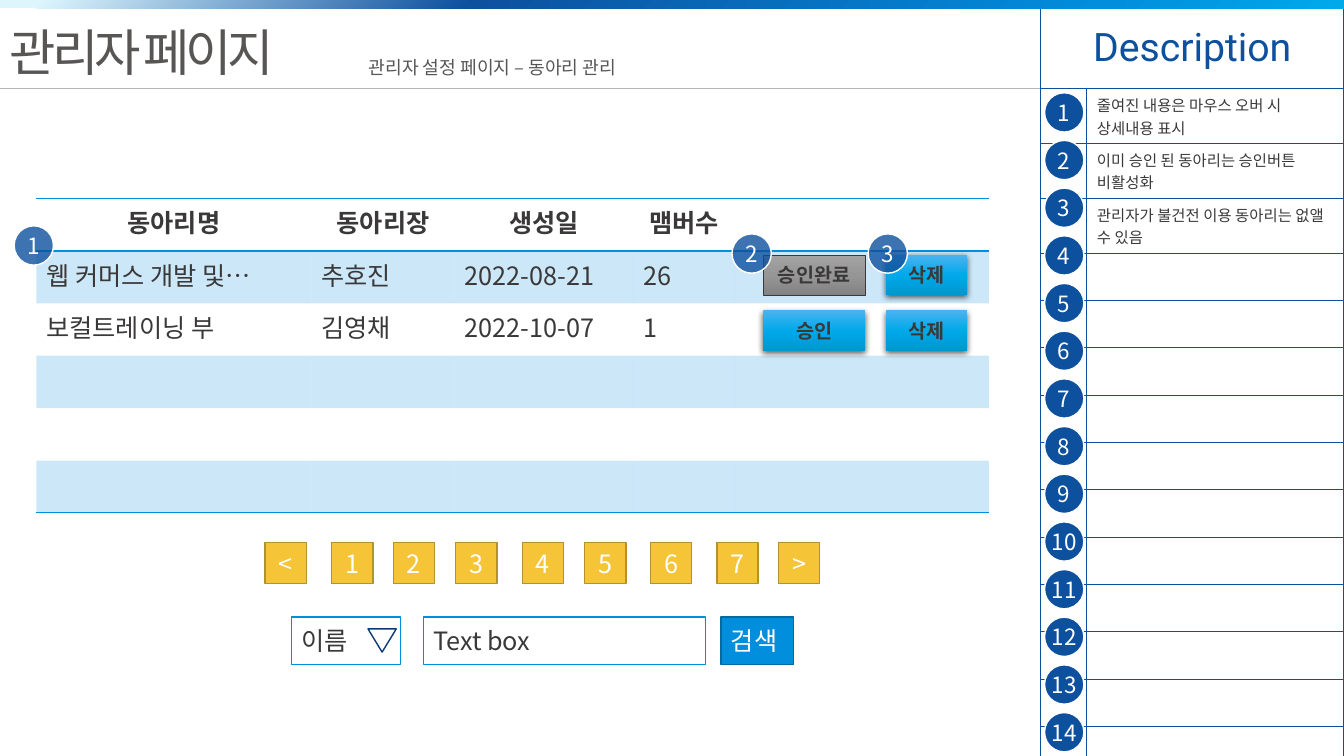
import dataclasses
import pptx
import pptx.util
import pptx.dml.color
import pptx.enum.shapes
import pptx.enum.text
import pptx.oxml
import pptx.oxml.ns
import lxml.etree

Inches = pptx.util.Inches
SHAPE = pptx.enum.shapes.MSO_SHAPE
ALIGN = pptx.enum.text.PP_ALIGN
ANCHOR = pptx.enum.text.MSO_ANCHOR
qn = pptx.oxml.ns.qn


@dataclasses.dataclass(frozen=True)
class Theme:
    """Hold the colours, fonts and type sizes."""
    navy: str = "0D509E"
    deep: str = "0A3B75"
    blue: str = "018EDD"
    edge: str = "0169A3"
    ink: str = "3A3838"
    grey: str = "585555"
    rule: str = "B5B5B5"
    white: str = "FFFFFF"
    gold: str = "F5C437"
    brown: str = "B59129"
    bar: tuple = ((3, "DDF6FD"), (35, "0D509E"), (82, "018EDD"), (100, "00A9EA"))
    live: tuple = ((0, "4BB3F0"), (50, "00A9EA"), (100, "0096D0"))
    dull: tuple = ((0, "A3A3A3"), (50, "969696"), (100, "848383"))
    font: str = "Noto Sans CJK KR"
    latin: str = "Roboto"
    title: int = 36
    head: int = 28
    body: int = 18
    badge: int = 16
    label: int = 14
    sub: int = 13
    note: int = 11


T = Theme()


def rgb(code):
    """Turn a hex code into a colour."""
    return pptx.dml.color.RGBColor.from_string(code)


def child(node, tag, **attrs):
    """Add a drawing element under a node."""
    return lxml.etree.SubElement(node, qn(tag), {k: str(v) for k, v in attrs.items()})


def paint(fill, node, code, alpha=100):
    """Fill with one colour, clear in part if asked."""
    fill.solid()
    fill.fore_color.rgb = rgb(code)
    if alpha < 100:
        tint = node.find(qn("a:solidFill")).find(qn("a:srgbClr"))
        child(tint, "a:alpha", val=alpha * 1000)


def blend(shape, stops, angle):
    """Fill a shape with a gradient of many stops."""
    shape.fill.gradient()
    shape.fill.gradient_angle = 360 - angle
    group = shape.element.spPr.find(qn("a:gradFill")).find(qn("a:gsLst"))
    for stop in list(group):
        group.remove(stop)
    for place, code in stops:
        child(child(group, "a:gs", pos=place * 1000), "a:srgbClr", val=code)


def write(frame, text, size=T.body, color=T.ink, font=T.font, bold=False,
          align=ALIGN.LEFT, track=0):
    """Put formatted text in a frame."""
    para = frame.paragraphs[0]
    para.alignment = align
    run = para.add_run()
    run.text = text
    run.font.size = pptx.util.Pt(size)
    run.font.bold = bold
    run.font.color.rgb = rgb(color)
    run.font.name = font
    props = run.font._element
    child(props, "a:ea", typeface=font)
    if track:
        props.set("spc", str(track * 100))


def block(slide, box, kind=SHAPE.RECTANGLE, fill=T.white, alpha=100, line=None,
          width=1, angle=90, text="", inset=None, **style):
    """Draw a preset shape with optional text."""
    shape = slide.shapes.add_shape(kind, *map(Inches, box))
    shape.shadow.inherit = False
    if isinstance(fill, str):
        paint(shape.fill, shape.element.spPr, fill, alpha)
    else:
        blend(shape, fill, angle)
    if line:
        shape.line.color.rgb = rgb(line)
        shape.line.width = pptx.util.Pt(width)
    else:
        shape.line.fill.background()
    if text:
        frame = shape.text_frame
        frame.word_wrap = True
        frame.vertical_anchor = ANCHOR.MIDDLE
        if inset is not None:
            frame.margin_left = frame.margin_right = Inches(inset)
            frame.margin_top = frame.margin_bottom = Inches(inset)
        write(frame, text, **style)
    return shape


def label(slide, box, text, **style):
    """Place a plain text box."""
    frame = slide.shapes.add_textbox(*map(Inches, box)).text_frame
    frame.word_wrap = True
    write(frame, text, **style)


def badge(slide, left, top, num, alpha=100):
    """Draw a round number mark."""
    block(slide, (left, top, 0.39, 0.39), SHAPE.OVAL, T.navy, alpha, T.white,
          text=str(num), inset=0, size=T.badge, color=T.white, align=ALIGN.CENTER)


def button(slide, box, text, live=True):
    """Draw a raised or greyed button."""
    shape = block(slide, box, fill=T.live if live else T.dull,
                  line=None if live else T.ink, width=0.5, text=text,
                  size=T.label, bold=True, align=ALIGN.CENTER)
    if live:
        glow = child(shape.element.spPr.find(qn("a:effectLst")), "a:outerShdw",
                     blurRad=57150, dist=19050, dir=5400000, rotWithShape=0)
        child(child(glow, "a:srgbClr", val="000000"), "a:alpha", val=63000)


def grid(slide, box, cols, rows):
    """Add a table without a banded style."""
    table = slide.shapes.add_table(len(rows), len(cols), *map(Inches, box)).table
    table.first_row = table.horz_banding = False
    style = table._tbl.tblPr.find(qn("a:tableStyleId"))
    style.text = "{2D5ABB26-0587-4C30-8999-92F81FD0307C}"
    for col, width in zip(table.columns, cols):
        col.width = Inches(width)
    for row, height in zip(table.rows, rows):
        row.height = Inches(height)
    return table


def border(cell, sides, color):
    """Rule the given sides of a cell."""
    for side in sides:
        line = child(cell._tc.get_or_add_tcPr(), "a:ln" + side, w=12700)
        child(child(line, "a:solidFill"), "a:srgbClr", val=color)


def header(slide, box):
    """Draw the top bar, title and rule."""
    left, top, width, height = box
    label(slide, (left, top + 0.16, 3.11, 0.71), "관리자 페이지",
          size=T.title, color=T.grey, track=-3)
    label(slide, (left + 3.56, top + 0.51, 2.87, 0.32),
          "관리자 설정 페이지 – 동아리 관리", size=T.sub, color=T.grey)
    line = slide.shapes.add_connector(
        pptx.enum.shapes.MSO_CONNECTOR.STRAIGHT,
        *map(Inches, (left, top + height, left + width, top + height)))
    line.line.color.rgb = rgb(T.rule)
    line.line.width = pptx.util.Pt(1)
    child(line._element.spPr, "a:effectLst")
    block(slide, (left, top, 13.33, 0.08), fill=T.bar, angle=45)


def notes(slide, box):
    """Draw the numbered description panel."""
    left, top = box[:2]
    texts = ["줄여진 내용은 마우스 오버 시 상세내용 표시",
             "이미 승인 된 동아리는 승인버튼 비활성화",
             "관리자가 불건전 이용 동아리는 없앨 수 있음"]
    table = grid(slide, box, [0.46, 2.55], [0.8] + [0.47] * 14)
    for cell in table.iter_cells():
        border(cell, "LRTB", T.navy)
        cell.fill.background()
        cell.vertical_anchor = ANCHOR.MIDDLE
        cell.text_frame.paragraphs[0].font.size = pptx.util.Pt(T.note)
    head = table.cell(0, 0)
    head.merge(table.cell(0, 1))
    write(head.text_frame, "Description", size=T.head, color=T.navy,
          font=T.latin, align=ALIGN.CENTER)
    for row, text in enumerate(texts, 1):
        write(table.cell(row, 1).text_frame, text, size=T.note)
    for step in range(14):
        badge(slide, left + 0.04, top + 0.84 + step * 0.473, step + 1)


def clubs(slide, box):
    """Draw the club table with its buttons."""
    left, top = box[:2]
    data = [["동아리명", "동아리장", "생성일", "맴버수"],
            ["웹 커머스 개발 및…", "추호진", "2022-08-21", "26"],
            ["보컬트레이닝 부", "김영채", "2022-10-07", "1"]]
    table = grid(slide, box, [2.73, 1.42, 1.77, 1.01, 2.52], [0.52] * 6)
    for row in range(6):
        for col in range(5):
            cell = table.cell(row, col)
            border(cell, {0: "TB", 5: "B"}.get(row, ""), T.blue)
            if row % 2:
                paint(cell.fill, cell._tc.tcPr, T.blue, 20)
            else:
                cell.fill.background()
            if row < len(data) and col < len(data[row]):
                write(cell.text_frame, data[row][col], bold=row == 0,
                      align=ALIGN.LEFT if row else ALIGN.CENTER)
    for row, text in enumerate(["승인완료", "승인"]):
        high = top + 0.56 + row * 0.55
        button(slide, (left + 7.21, high, 1.01, 0.4), text, live=row > 0)
        button(slide, (left + 8.43, high, 0.8, 0.4), "삭제")


def pager(slide, box):
    """Draw the row of page buttons."""
    left, top, _, side = box
    spots = [0, 0.66, 1.27, 1.89, 2.55, 3.17, 3.82, 4.48, 5.09]
    for text, shift in zip("<1234567>", spots):
        block(slide, (left + shift, top, side, side), fill=T.gold, line=T.brown,
              text=text, color=T.white, align=ALIGN.CENTER)


def search(slide, box):
    """Draw the search fields."""
    left, top, _, height = box
    block(slide, (left, top, 1.08, height), line=T.blue, text="이름")
    block(slide, (left + 1.31, top, 2.8, height), line=T.blue, text="Text box")
    block(slide, (left + 4.26, top, 0.72, height), fill=T.blue, line=T.edge,
          text="검색", color=T.white)
    arrow = block(slide, (left + 0.76, top + 0.12, 0.28, 0.23),
                  SHAPE.ISOSCELES_TRIANGLE, line=T.deep)
    arrow.element.spPr.xfrm.set("flipV", "1")


def marks(slide, box):
    """Tag the parts of the club table."""
    left, top = box[:2]
    for num, (x, y) in enumerate([(-0.22, 0.27), (6.9, 0.35), (8.25, 0.35)], 1):
        badge(slide, left + x, top + y, num, 80)


def main():
    """Build and save the slide."""
    deck = pptx.Presentation()
    deck.slide_width, deck.slide_height = Inches(13.33), Inches(7.5)
    slide = deck.slides.add_slide(deck.slide_layouts[6])
    area = (0.36, 1.97, 9.45, 3.12)
    notes(slide, (10.32, 0.08, 3.01, 7.42))
    header(slide, (0, 0, 10.32, 0.88))
    clubs(slide, area)
    pager(slide, (2.63, 5.38, 5.5, 0.41))
    search(slide, (2.89, 6.12, 4.98, 0.47))
    marks(slide, area)
    deck.save("out.pptx")


if __name__ == "__main__":
    main()
